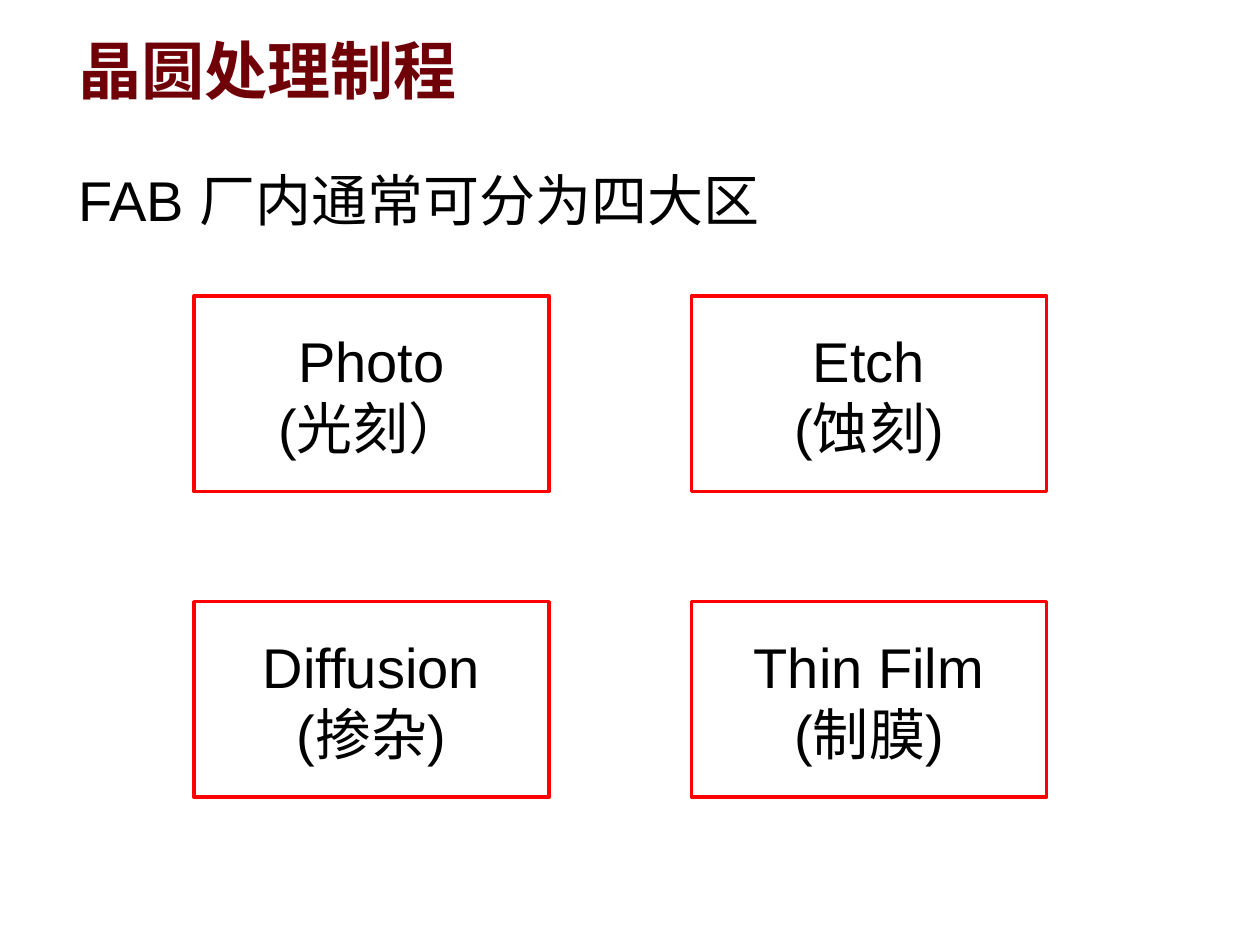
"""Build the slide on the four areas of a wafer fab."""
import dataclasses
import itertools

import lxml.etree
import pptx
import pptx.dml.color
import pptx.enum.shapes
import pptx.enum.text
import pptx.oxml.ns
import pptx.util

Cm = pptx.util.Cm
Pt = pptx.util.Pt
Align = pptx.enum.text.PP_ALIGN
Anchor = pptx.enum.text.MSO_ANCHOR


@dataclasses.dataclass(frozen=True)
class Theme:
    head: str = "6F0007"
    ink: str = "000000"
    edge: str = "FF0000"
    paper: str = "FFFFFF"
    latin: str = "Arial"
    asian: str = "Noto Sans CJK SC"
    big: int = 36
    text: int = 32
    line: int = 2


def color(code):
    return pptx.dml.color.RGBColor.from_string(code)


def add(node, tag, **attrs):
    return lxml.etree.SubElement(node, pptx.oxml.ns.qn(tag), **attrs)


class Deck:
    def __init__(self, theme):
        self.theme = theme
        self.file = pptx.Presentation()
        self.file.slide_width, self.file.slide_height = Cm(25.4), Cm(19.05)
        self.slide = self.file.slides.add_slide(self.file.slide_layouts[1])

    def put(self, para, words, size, tint, face, bold=False):
        run = para.add_run()
        run.text = words
        font = run.font
        font.name, font.size, font.bold = face, Pt(size), bold
        font.color.rgb = color(tint)
        add(run._r.get_or_add_rPr(), "a:ea", typeface=self.theme.asian)

    def place(self, shape, left, top, width, height):
        shape.left, shape.top = Cm(left), Cm(top)
        shape.width, shape.height = Cm(width), Cm(height)
        frame = shape.text_frame
        frame.word_wrap = True
        frame.auto_size = pptx.enum.text.MSO_AUTO_SIZE.NONE
        frame.vertical_anchor = Anchor.TOP
        para = frame.paragraphs[0]
        para.alignment = Align.LEFT
        return para

    def title(self, words, *area):
        look = self.theme
        para = self.place(self.slide.shapes.title, *area)
        self.put(para, words, look.big, look.head, look.asian, True)

    def body(self, words, *area):
        look = self.theme
        para = self.place(self.slide.placeholders[1], *area)
        props = para._p.get_or_add_pPr()
        props.set("marL", "0")
        props.set("indent", "0")
        add(props, "a:buNone")
        para.space_before = Pt(0)
        self.put(para, words, look.text, look.ink, look.latin)

    def box(self, lines, left, top, width, height):
        look = self.theme
        kind = pptx.enum.shapes.MSO_SHAPE.FLOWCHART_PROCESS
        shape = self.slide.shapes.add_shape(
            kind, Cm(left), Cm(top), Cm(width), Cm(height))
        shape.shadow.inherit = False
        shape.fill.solid()
        shape.fill.fore_color.rgb = color(look.paper)
        shape.line.color.rgb = color(look.edge)
        shape.line.width = Pt(look.line)
        frame = shape.text_frame
        frame.word_wrap = True
        frame.vertical_anchor = Anchor.MIDDLE
        for rank, words in enumerate(lines):
            para = frame.add_paragraph() if rank else frame.paragraphs[0]
            para.alignment = Align.CENTER
            self.put(para, words, look.text, look.ink, look.latin)


def main():
    deck = Deck(Theme())
    deck.title("晶圆处理制程", 1.32, 0.51, 22.61, 2.67)
    deck.body("FAB 厂内通常可分为四大区", 1.32, 3.2, 18.67, 1.63)
    areas = [("Photo", "(光刻）"), ("Etch", "(蚀刻)"),
             ("Diffusion", "(掺杂)"), ("Thin Film", "(制膜)")]
    spots = itertools.product((5.97, 12.13), (3.91, 13.94))
    for lines, (top, left) in zip(areas, spots):
        deck.box(lines, left, top, 7.16, 3.94)
    deck.file.save("out.pptx")


if __name__ == "__main__":
    main()
